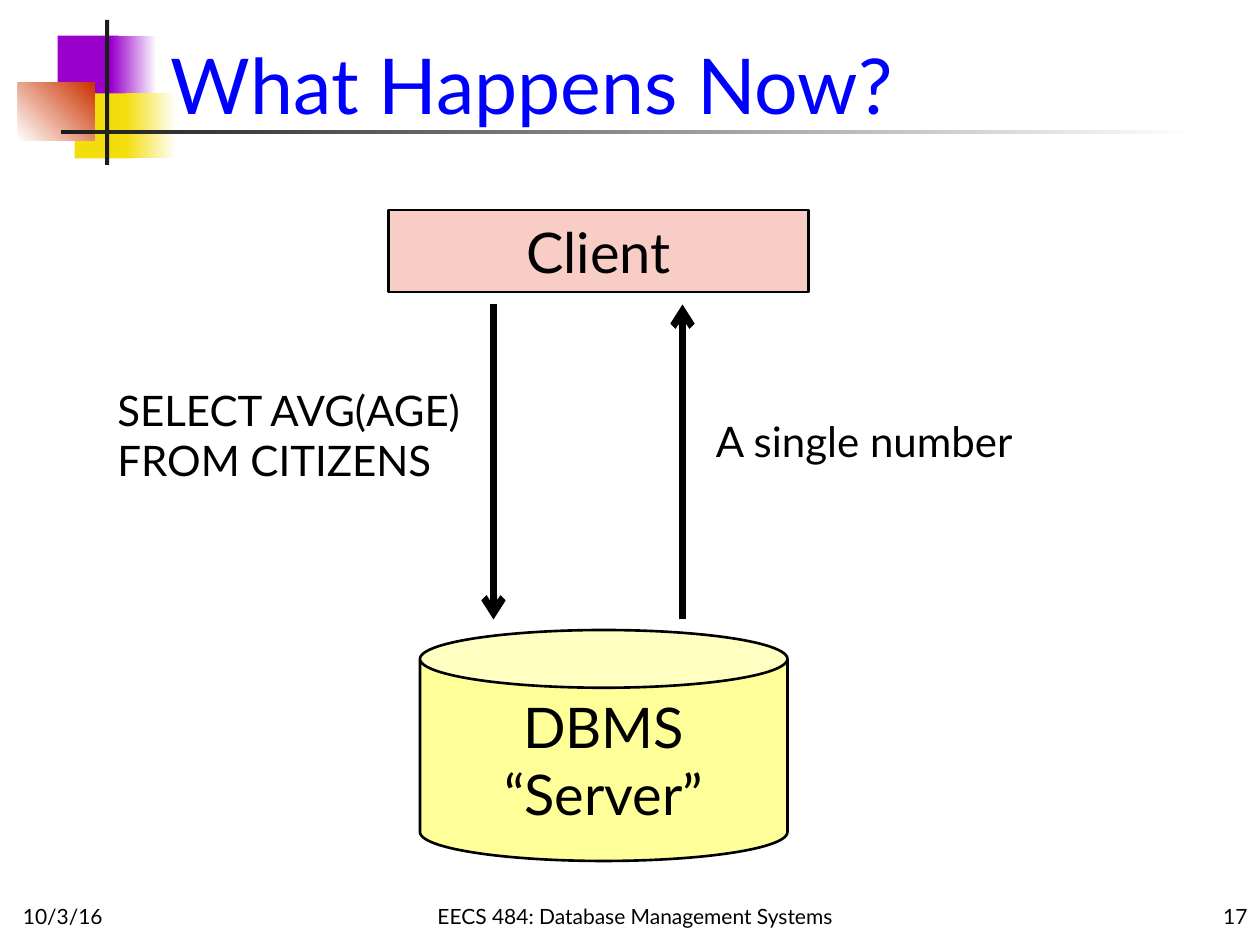
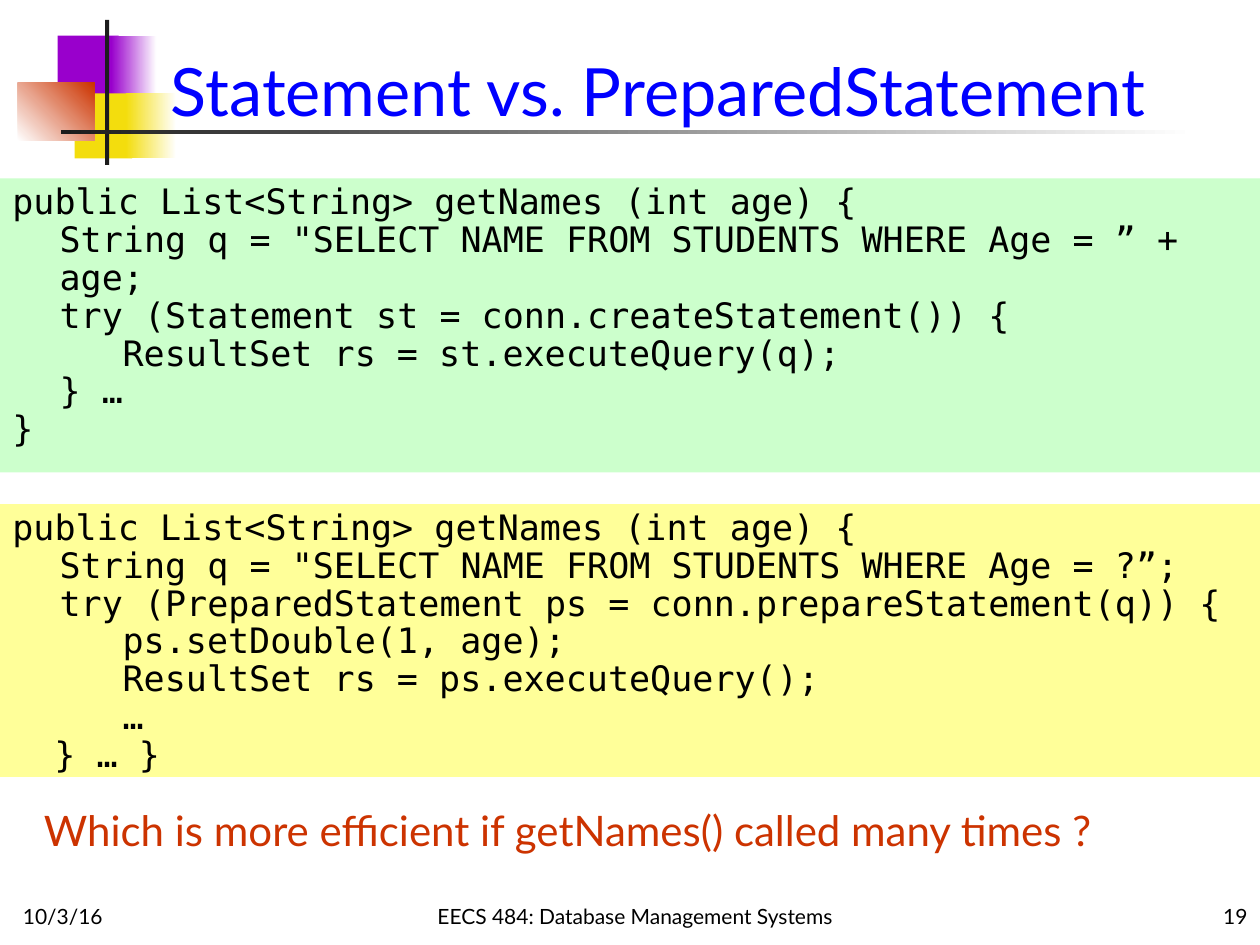
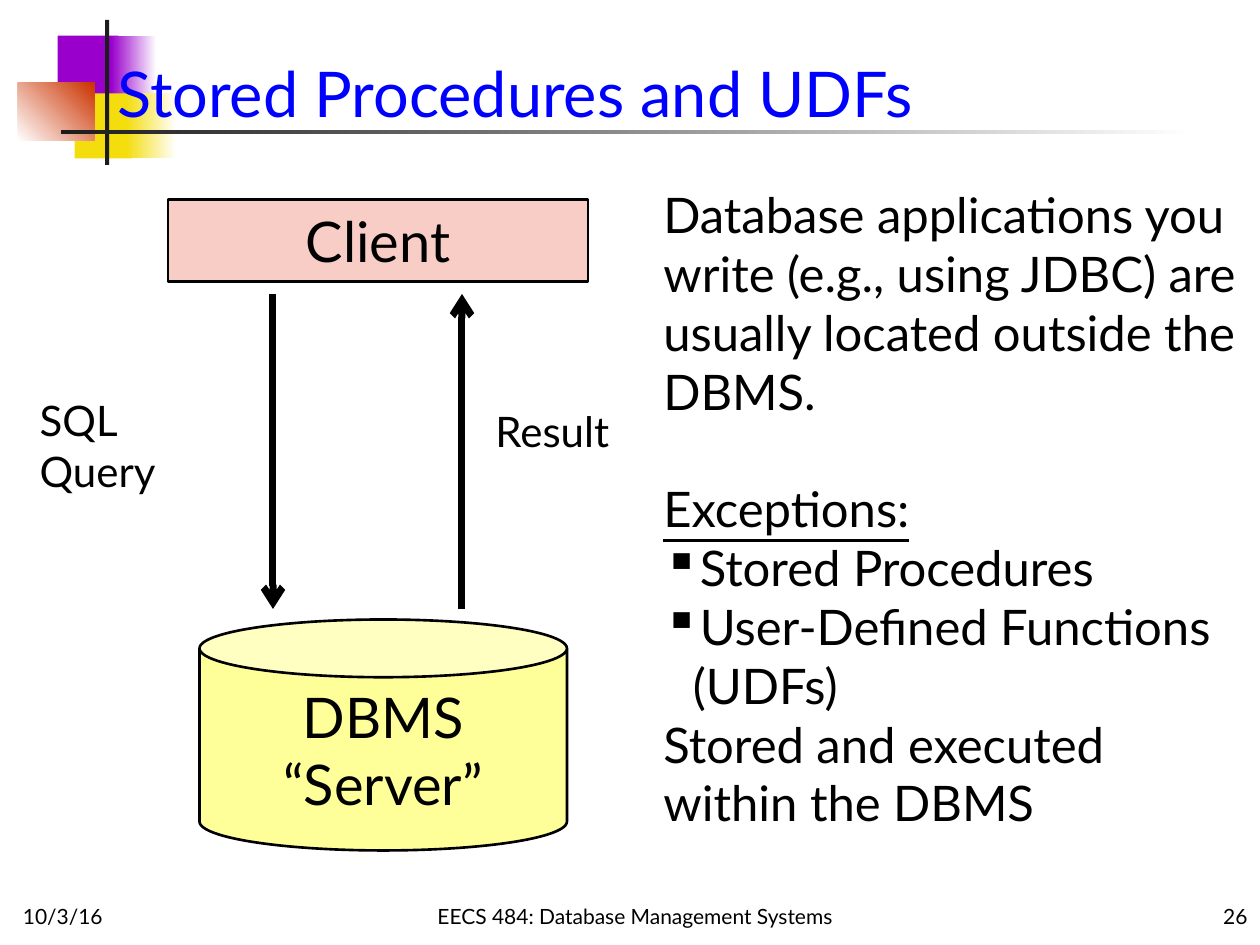
import lxml.etree
import pptx
import pptx.dml.color
import pptx.enum.shapes
import pptx.enum.text
import pptx.oxml.ns
import pptx.util

COLUMNS, ROWS = 120, 90
SHAPE = pptx.enum.shapes.MSO_SHAPE
ALIGN = pptx.enum.text.PP_ALIGN
ANCHOR = pptx.enum.text.MSO_ANCHOR

BLACK, WHITE, CHARCOAL = "000000", "FFFFFF", "1C1C1C"
BLUE, RED, PURPLE, GOLD = "0000FF", "CC3300", "9900CC", "F3DD0D"
PINK, YELLOW, GREEN = "F8CDC6", "FFFF99", "CCFFCC"

# Left, top, width, height, fill colours and gradient angle of the title ornament
ORNAMENT = [
    (5.5, 3.4, 5.8, 6.2, [PURPLE], 0),
    (10.6, 3.4, 4.3, 6.2, [PURPLE, WHITE], 0),
    (7.1, 8.9, 5.5, 6.2, [GOLD], 0),
    (12, 8.9, 4.8, 6.2, [GOLD, WHITE], 0),
    (1.7, 7.9, 7.3, 5.5, [WHITE, RED], 45),
    (10, 1.9, 0.4, 13.8, [CHARCOAL], 0),
    (5.8, 12.4, 108, 0.4, [CHARCOAL, WHITE], 0),
]


def color(value):
    return pptx.dml.color.RGBColor.from_string(value)


def apply_format(target, values):
    for name, value in values.items():
        setattr(target, name, value)


class Deck:
    """Holds the style and the current slide; lengths are grid columns and rows."""

    font = "Lato"
    code_font = "DejaVu Sans Mono"

    def __init__(self):
        self.deck = pptx.Presentation()
        self.deck.slide_width = pptx.util.Inches(10)
        self.deck.slide_height = pptx.util.Inches(7.5)
        self.page = None

    def across(self, columns):
        return round(self.deck.slide_width * columns / COLUMNS)

    def down(self, rows):
        return round(self.deck.slide_height * rows / ROWS)

    def area(self, left, top, width, height):
        return self.across(left), self.down(top), self.across(width), self.down(height)

    # Slide frame: ornament, footer and title
    def slide(self, title, number, size, left=15.1):
        self.page = self.deck.slides.add_slide(self.deck.slide_layouts[6])
        for *area, fills, angle in ORNAMENT:
            self.shape(area, fills, angle=angle)
        footer = {"size": 12, "anchor": ANCHOR.BOTTOM}
        self.text((1, 83, 25, 6), ["10/3/16"], **footer)
        self.text((28, 83, 65, 6), ["EECS 484: Database Management Systems"],
                  align=ALIGN.CENTER, **footer)
        self.text((95, 83, 25, 6), [str(number)], align=ALIGN.RIGHT, **footer)
        self.text((left, 0, COLUMNS - left, 13), [title], size=size, ink=BLUE,
                  anchor=ANCHOR.BOTTOM)

    def shape(self, area, fills, kind=SHAPE.RECTANGLE, outline=False, angle=0):
        shape = self.page.shapes.add_shape(kind, *self.area(*area))
        shape.shadow.inherit = False
        if len(fills) == 1:
            shape.fill.solid()
            shape.fill.fore_color.rgb = color(fills[0])
        else:
            shape.fill.gradient()
            shape.fill.gradient_angle = angle
            for stop, value in zip(shape.fill.gradient_stops, fills):
                stop.color.rgb = color(value)
        if outline:
            shape.line.color.rgb = color(BLACK)
            shape.line.width = pptx.util.Pt(1.5)
        else:
            shape.line.fill.background()
        return shape

    def text(self, area, lines, **style):
        box = self.page.shapes.add_textbox(*self.area(*area))
        self.set_lines(box, lines, **style)

    # Each line is a string or a (string, paragraph options) pair
    def set_lines(self, box, lines, size, ink=BLACK, font=None, align=ALIGN.LEFT,
                  anchor=ANCHOR.TOP, spacing=None):
        frame = box.text_frame
        apply_format(frame, {"word_wrap": True, "vertical_anchor": anchor})
        for index, line in enumerate(lines):
            words, options = (line, {}) if isinstance(line, str) else line
            para = frame.paragraphs[0] if index == 0 else frame.add_paragraph()
            apply_format(para, {"alignment": align, "line_spacing": spacing})
            if "before" in options:
                para.space_before = pptx.util.Pt(options["before"])
            self.indent(para, options.get("indent", 0), options.get("bullet"))
            span = para.add_run()
            span.text = words
            apply_format(span.font, {"name": font or self.font,
                                     "size": pptx.util.Pt(size),
                                     "underline": options.get("underline")})
            span.font.color.rgb = color(ink)

    def indent(self, para, columns, bullet):
        if not columns:
            return
        properties = para._p.get_or_add_pPr()
        properties.set("marL", str(self.across(columns)))
        properties.set("indent", str(-self.across(columns) if bullet else 0))
        if bullet:
            mark = lxml.etree.SubElement(properties, pptx.oxml.ns.qn("a:buChar"))
            mark.set("char", bullet)

    def arrow(self, column, start, end):
        arrow = self.page.shapes.add_connector(
            pptx.enum.shapes.MSO_CONNECTOR.STRAIGHT,
            self.across(column), self.down(start), self.across(column), self.down(end))
        arrow.line.color.rgb = color(BLACK)
        arrow.line.width = pptx.util.Pt(4)
        name = pptx.oxml.ns.qn
        properties = arrow._element.spPr
        head = lxml.etree.SubElement(properties.find(name("a:ln")), name("a:tailEnd"))
        head.set("type", "arrow")
        lxml.etree.SubElement(properties, name("a:effectLst"))

    # Client box above the server drum, joined by a request and a reply arrow
    def client_server(self, left, top):
        label = {"size": 32, "align": ALIGN.CENTER, "anchor": ANCHOR.MIDDLE}
        server = self.shape((left + 3, top + 40, 35, 22), [YELLOW], SHAPE.CAN, outline=True)
        self.set_lines(server, ["DBMS", "“Server”"], **label)
        client = self.shape((left, top, 40, 7.8), [PINK], outline=True)
        self.set_lines(client, ["Client"], **label)
        self.arrow(left + 10, top + 9, top + 39)
        self.arrow(left + 28, top + 39, top + 9)

    def code(self, top, height, fill, lines):
        panel = self.shape((0, top, COLUMNS, height), [fill])
        self.set_lines(panel, [(words, {"indent": indent}) for indent, words in lines],
                       size=20, font=self.code_font, spacing=0.9)


def main():
    deck = Deck()

    # Query and its answer
    deck.slide("What Happens Now?", 17, size=44)
    deck.client_server(37, 20)
    deck.text((67, 39, 34, 6), ["A single number"], size=24)
    deck.text((10, 36, 36.2, 10.8), ["SELECT AVG(AGE)", "FROM CITIZENS"], size=24)

    # Two versions of the same method
    deck.slide("Statement vs. PreparedStatement", 19, size=38)
    body, block, closing = 4.5, 10.5, 4
    deck.code(17, 28, GREEN, [
        (0, "public List<String> getNames (int age) {"),
        (body, 'String q = "SELECT NAME FROM STUDENTS WHERE Age = ” + age;'),
        (body, "try (Statement st = conn.createStatement()) {"),
        (block, "ResultSet rs = st.executeQuery(q);"),
        (body, "} …"),
        (0, "}"),
    ])
    deck.code(48, 26, YELLOW, [
        (0, "public List<String> getNames (int age) {"),
        (body, 'String q = "SELECT NAME FROM STUDENTS WHERE Age = ?”;'),
        (body, "try (PreparedStatement ps = conn.prepareStatement(q)) {"),
        (block, "ps.setDouble(1, age);"),
        (block, "ResultSet rs = ps.executeQuery();"),
        (block, "…"),
        (closing, "} … }"),
    ])
    deck.text((3, 76, 106, 6),
              ["Which is more efficient if getNames() called many times ?"], size=24, ink=RED)

    # Code inside and outside the database
    deck.slide("Stored Procedures and UDFs", 26, size=36, left=10)
    deck.client_server(16, 19)
    deck.text((2.6, 37, 21.4, 10.8), ["SQL", "Query"], size=24)
    deck.text((46, 38, 15, 6), ["Result"], size=24)
    item = {"indent": 2.8, "bullet": "▪"}
    deck.text((62, 17, 58, 63), [
        "Database applications you write (e.g., using JDBC) are usually located "
        "outside the DBMS.",
        ("Exceptions:", {"before": 33.6, "underline": True}),
        ("Stored Procedures", item),
        ("User-Defined Functions (UDFs)", item),
        "Stored and executed within the DBMS",
    ], size=28)

    deck.deck.save("out.pptx")


if __name__ == "__main__":
    main()
